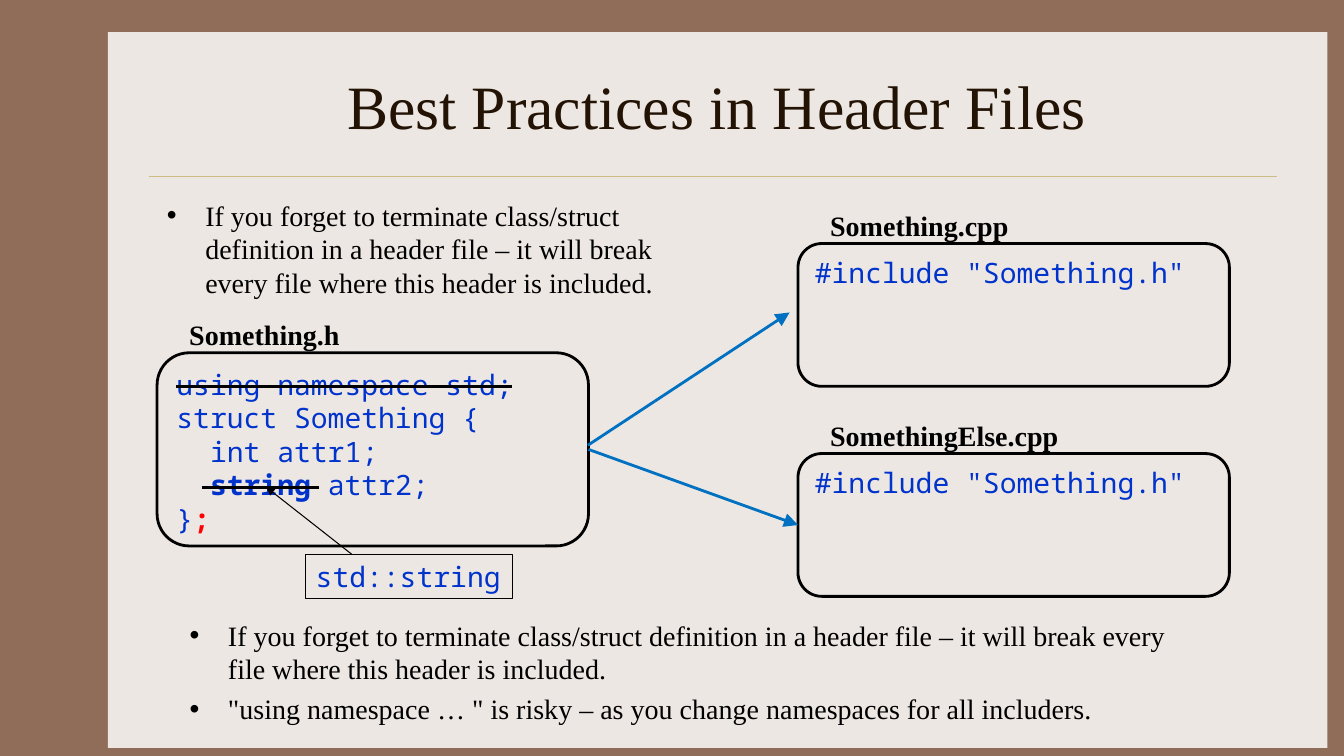
from lxml.etree import SubElement
from pptx import Presentation
from pptx.dml.color import RGBColor
from pptx.enum.shapes import MSO_CONNECTOR, MSO_SHAPE
from pptx.enum.text import MSO_ANCHOR, PP_ALIGN
from pptx.oxml.ns import qn
from pptx.util import Inches, Pt

COLUMNS, ROWS = 160, 90
SERIF, MONO = "Times New Roman", "Noto Sans Mono"
BLACK, CODE_BLUE, ARROW_BLUE = "000000", "0033CC", "0070C0"
PROSE = {"name": SERIF, "size": Pt(20), "color": BLACK}
LABEL = {**PROSE, "bold": True}
CODE = {"name": MONO, "size": Pt(20), "color": CODE_BLUE}
BOLD_CODE = {**CODE, "bold": True}
ERROR_CODE = {**BOLD_CODE, "color": "FF0000"}

FORGOTTEN_END = ("If you forget to terminate class/struct definition in a header file "
                 "– it will break every file where this header is included.")
RISKY_USING = '"using namespace … " is risky – as you change namespaces for all includers.'
INCLUDE_LINES = [[('#include "Something.h"', CODE)]]
HEADER_LINES = [
    [("using namespace std;", CODE)],
    [("struct Something {", CODE)],
    [("  int attr1;", CODE)],
    [("  ", CODE), ("string ", BOLD_CODE), ("attr2;", CODE)],
    [("}", CODE), (";", ERROR_CODE)],
]


def grid(*cells):
    """Turn counts of twelfth-inch grid cells into lengths."""
    return [Inches(cell / 12) for cell in cells]


def set_color(color_format, hex_color):
    """Give a colour format its colour from a hex string."""
    color_format.rgb = RGBColor.from_string(hex_color)


def paint(fill, hex_color):
    """Make a fill solid, or empty when there is no colour."""
    if hex_color:
        fill.solid()
        set_color(fill.fore_color, hex_color)
    else:
        fill.background()


def write(text_frame, lines, align=PP_ALIGN.LEFT, anchor=MSO_ANCHOR.TOP, wrap=True):
    """Fill a text frame with lines of (text, format) runs."""
    text_frame.word_wrap = wrap
    text_frame.vertical_anchor = anchor
    for index, line in enumerate(lines):
        paragraph = text_frame.add_paragraph() if index else text_frame.paragraphs[0]
        paragraph.alignment = align
        for text, style in line:
            run = paragraph.add_run()
            run.text = text
            for name, value in style.items():
                if name == "color":
                    set_color(run.font.color, value)
                else:
                    setattr(run.font, name, value)


def add_box(slide, kind, cells, fill=None, line=None, width=2):
    """Add a preset shape without shadow."""
    shape = slide.shapes.add_shape(kind, *grid(*cells))
    shape.shadow.inherit = False
    paint(shape.fill, fill)
    paint(shape.line.fill, line)
    if line:
        shape.line.width = Pt(width)
    return shape


def add_file(slide, name, lines, label_width, column, row, height):
    """Add a rounded source file box with its name above."""
    box = add_box(slide, MSO_SHAPE.ROUNDED_RECTANGLE, (column, row, 51.36, height), line=BLACK)
    write(box.text_frame, lines)
    label = slide.shapes.add_textbox(*grid(column + 2.65, row - 4.8, label_width, 5.3))
    write(label.text_frame, [[(name, LABEL)]], wrap=False)
    return box


def add_bullets(slide, texts, cells):
    """Add a text box of bulleted paragraphs."""
    frame = slide.shapes.add_textbox(*grid(*cells)).text_frame
    write(frame, [[(text, PROSE)] for text in texts])
    for paragraph in frame.paragraphs:
        paragraph.space_before = Pt(4.6)
        properties = paragraph._p.get_or_add_pPr()
        properties.set("marL", str(Inches(0.38)))
        properties.set("indent", str(-Inches(0.38)))
        SubElement(properties, qn("a:buFont")).set("typeface", "Arial")
        SubElement(properties, qn("a:buChar")).set("char", "•")


def add_line(slide, ends, color=BLACK, width=2, arrow=None):
    """Add a straight line, with an arrowhead of the given size at its end."""
    connector = slide.shapes.add_connector(MSO_CONNECTOR.STRAIGHT, *grid(*ends))
    paint(connector.line.fill, color)
    connector.line.width = Pt(width)
    if arrow:
        head = SubElement(connector.line._get_or_add_ln(), qn("a:tailEnd"))
        for name, value in {"type": "triangle", "w": arrow, "len": arrow}.items():
            head.set(name, value)
    SubElement(connector._element.spPr, qn("a:effectLst"))
    return connector


def add_title(slide, text, cells):
    """Place and format the title placeholder."""
    title = slide.shapes.title
    title.left, title.top, title.width, title.height = grid(*cells)
    style = {"name": SERIF, "size": Pt(44), "color": "221304"}
    write(title.text_frame, [[(text, style)]], PP_ALIGN.CENTER, MSO_ANCHOR.MIDDLE)


def main():
    """Build and save the slide."""
    presentation = Presentation()
    presentation.slide_width, presentation.slide_height = grid(COLUMNS, ROWS)
    slide = presentation.slides.add_slide(presentation.slide_layouts[5])
    paint(slide.background.fill, "906D58")
    panel = add_box(slide, MSO_SHAPE.RECTANGLE, (12.84, 3.84, 145.2, 85.2), fill="EDE7E3")
    slide.shapes._spTree.insert(2, panel._element)
    add_line(slide, (17.76, 21, 152, 21), "CBBD83", 0.25)
    add_title(slide, "Best Practices in Header Files", (18.7, 5, 133.3, 15))

    add_bullets(slide, [FORGOTTEN_END], (18.7, 23, 65.25, 14.2))
    header = add_file(slide, "Something.h", HEADER_LINES, 20.4, 18.7, 42, 23)
    add_file(slide, "Something.cpp", INCLUDE_LINES, 23.8, 95, 29, 17)
    add_bullets(slide, [FORGOTTEN_END, RISKY_USING], (21.4, 73, 123.6, 14.2))
    add_line(slide, (70, 53, 94, 37.2), ARROW_BLUE, arrow="lg")
    other_source = add_file(slide, "SomethingElse.cpp", INCLUDE_LINES, 29.8, 95, 54, 17)
    include_arrow = add_line(slide, (70, 53.5, 95, 62.5), ARROW_BLUE, arrow="lg")
    include_arrow.begin_connect(header, 3)
    include_arrow.end_connect(other_source, 1)

    for strike in ((24, 58, 38, 58), (21, 46, 61, 46)):
        add_line(slide, strike)
    callout = add_box(slide, MSO_SHAPE.RECTANGLE, (36.4, 66, 24.6, 5.3), line=BLACK, width=0.5)
    write(callout.text_frame, [[("std::string", CODE)]], wrap=False)
    add_line(slide, (41.9, 66, 31.7, 58), width=0.75, arrow="med")
    presentation.save("out.pptx")


if __name__ == "__main__":
    main()
